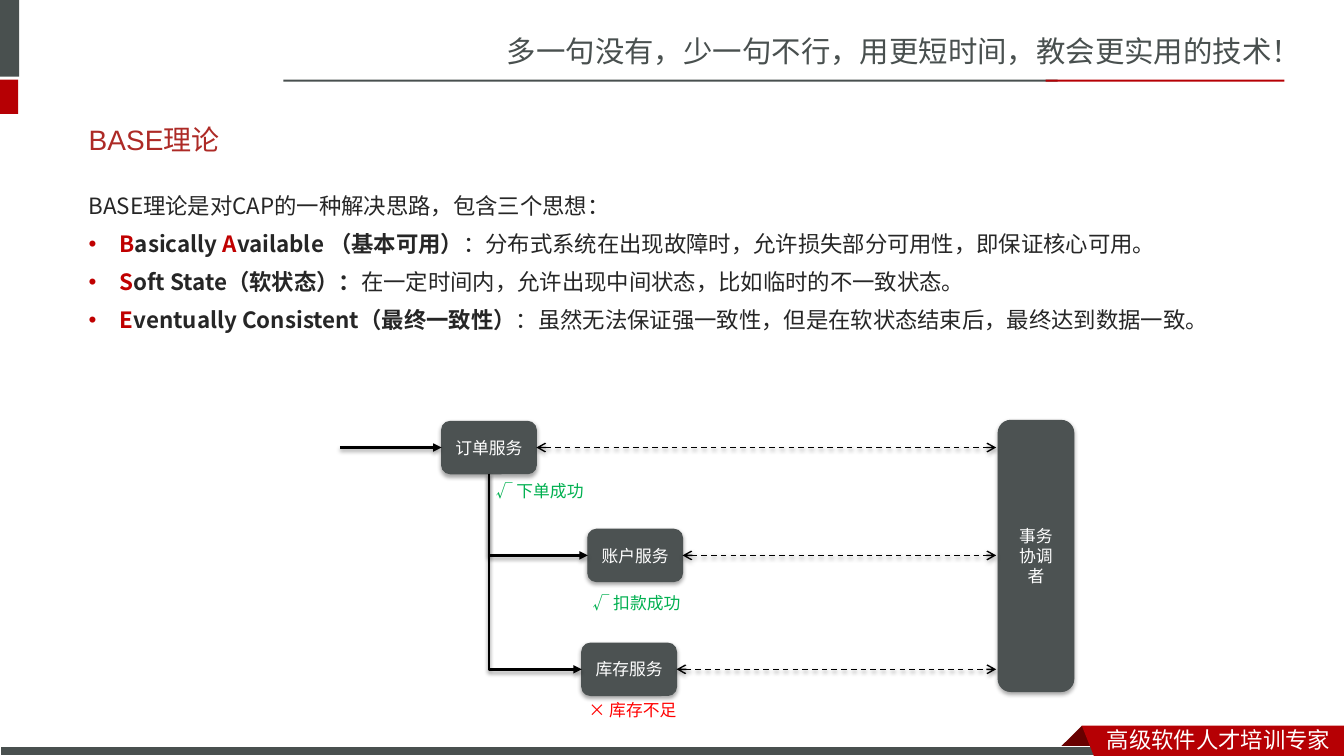
from dataclasses import dataclass

from pptx import Presentation
from pptx.dml.color import RGBColor
from pptx.enum import dml, shapes, text
from pptx.oxml import parse_xml
from pptx.oxml.ns import nsdecls, qn
from pptx import util as u

PX = 9144


@dataclass(frozen=True)
class Theme:
    """Colours, faces and type sizes of the slide."""
    slate: str = "49504F"
    box: str = "4C5252"
    red: str = "B60004"
    dark: str = "680000"
    title: str = "AD2A26"
    ink: str = "262626"
    key: str = "C00000"
    good: str = "00B050"
    bad: str = "FF0000"
    black: str = "000000"
    white: str = "FFFFFF"
    sans: str = "Noto Sans CJK SC"
    body: str = "Noto Sans CJK JP"
    head: str = "Arial"
    motto: int = 21
    large: int = 20
    mid: int = 16
    small: int = 12


T = Theme()
POINTS = (
    (("B", "asically ", "A", "vailable （基本可用）"),
     "：分布式系统在出现故障时，允许损失部分可用性，即保证核心可用。"),
    (("S", "oft State（软状态）："),
     "在一定时间内，允许出现中间状态，比如临时的不一致状态。"),
    (("E", "ventually Consistent（最终一致性）"),
     "：虽然无法保证强一致性，但是在软状态结束后，最终达到数据一致。"),
)


def rgb(tone):
    """Turn a hex tone into a colour."""
    return RGBColor.from_string(tone)


def area(*sides):
    """Turn px lengths into EMU."""
    return [u.Emu(side * PX) for side in sides]


def node(parent, tag, body="", **attrs):
    """Append a drawing element to a parent."""
    pairs = " ".join(f'{key}="{val}"' for key, val in attrs.items())
    parent.append(parse_xml(f"<a:{tag} {nsdecls('a')} {pairs}>{body}</a:{tag}>"))


def style(para, size, tone, face=T.body):
    """Set the type of a whole paragraph."""
    font = para.font
    font.size, font.name = u.Pt(size), face
    font.color.rgb = rgb(tone)
    wide = T.sans if face == T.head else face
    node(para._p.pPr.find(qn("a:defRPr")), "ea", typeface=wide)


def paint(shape, tone, edge=None):
    """Fill a shape and give it an edge or none."""
    shape.shadow.inherit = False
    shape.fill.solid()
    shape.fill.fore_color.rgb = rgb(tone)
    if edge:
        shape.line.color.rgb = rgb(edge)
        shape.line.width = u.Pt(0.75)
    else:
        shape.line.fill.background()


def shade(item, alpha, drop):
    """Give an item a soft shadow straight below it."""
    props = item._element.spPr
    if props.find(qn("a:effectLst")) is None:
        node(props, "effectLst")
    body = f'<a:srgbClr val="{T.black}"><a:alpha val="{alpha * 1000}"/></a:srgbClr>'
    node(props.find(qn("a:effectLst")), "outerShdw", body, blurRad=u.Pt(3.1),
         dist=u.Pt(drop), dir=5400000, algn="ctr", rotWithShape=0)


def bar(slide, place, tone, edge=None):
    """Draw a plain band."""
    kind = shapes.MSO_SHAPE.RECTANGLE
    paint(slide.shapes.add_shape(kind, *area(*place)), tone, edge)


def fold(slide, spots, tone):
    """Draw a closed outline through the spots."""
    pen = slide.shapes.build_freeform(*spots[0], scale=float(PX))
    pen.add_line_segments(spots[1:], close=True)
    paint(pen.convert_to_shape(), tone)


def label(slide, place, words, size, tone, face=T.body):
    """Write one line of text."""
    frame = slide.shapes.add_textbox(*area(*place)).text_frame
    frame.word_wrap = True
    frame.text = words
    style(frame.paragraphs[0], size, tone, face)


def block(slide, place, words):
    """Draw a rounded service box."""
    kind = shapes.MSO_SHAPE.ROUNDED_RECTANGLE
    shape = slide.shapes.add_shape(kind, *area(*place))
    paint(shape, T.box, T.box)
    shade(shape, 35, 1.8)
    frame = shape.text_frame
    frame.word_wrap = True
    frame.text = words
    frame.vertical_anchor = text.MSO_ANCHOR.MIDDLE
    para = frame.paragraphs[0]
    para.alignment = text.PP_ALIGN.CENTER
    style(para, T.small, T.white)
    return shape


def link(slide, start, end, width, dash=False, kind=shapes.MSO_CONNECTOR.STRAIGHT):
    """Draw a one-way arrow, or a dashed two-way one."""
    line = slide.shapes.add_connector(kind, *area(*start, *end))
    line.line.color.rgb = rgb(T.black)
    line.line.width = u.Pt(width)
    if dash:
        line.line.dash_style = dml.MSO_LINE.DASH
    stroke = line.line._ln
    if dash:
        node(stroke, "headEnd", type="arrow")
    node(stroke, "tailEnd", type="arrow" if dash else "triangle")
    shade(line, 38, 1.6)
    return line


def bend(slide, top, side):
    """Lead an arrow down from one box and right into another."""
    line = link(slide, (0, 0), (1, 1), 2, kind=shapes.MSO_CONNECTOR.ELBOW)
    line.begin_connect(top, 2)
    line.end_connect(side, 1)
    wide, high = line.width, line.height
    line.left += (wide - high) // 2
    line.top += (high - wide) // 2
    line.width, line.height = high, wide
    props = line._element.spPr
    props.xfrm.set("rot", "16200000")
    props.xfrm.set("flipH", "1")
    props.find(qn("a:prstGeom")).set("prst", "bentConnector2")


def frame(slide):
    """Draw the bands, the motto and the footer."""
    label(slide, (493, 28, 840, 47), "多一句没有，少一句不行，用更短时间，教会更实用的技术！",
          T.motto, T.slate, T.sans)
    for place, tone in (((0, 0, 19, 76), T.slate), ((0, 79, 18, 34), T.red),
                        ((281, 79, 768, 2), T.slate), ((1037, 79, 237, 2), T.red)):
        bar(slide, place, tone)
    fold(slide, ((1073, 720), (1095, 742), (1094, 743), (1052, 743), (1051, 742)), T.dark)
    bar(slide, (0, 741, 1099, 9), T.slate, T.white)
    fold(slide, ((1073, 720), (1333, 720), (1333, 750), (1085, 750)), T.red)
    label(slide, (1088, 715, 245, 35), "高级软件人才培训专家", T.mid, T.white, T.sans)


def head(slide, words):
    """Place and fill the title."""
    title = slide.shapes.title
    title.left, title.top, title.width, title.height = area(78, 110, 1170, 57)
    title.text_frame.text = words
    title.text_frame.vertical_anchor = text.MSO_ANCHOR.MIDDLE
    para = title.text_frame.paragraphs[0]
    para.alignment = text.PP_ALIGN.LEFT
    style(para, T.large, T.title, T.head)


def ideas(slide):
    """Write the lead line and its three bullets."""
    box = slide.shapes.add_textbox(*area(78, 179, 1170, 196)).text_frame
    box.word_wrap = True
    box.text = "BASE理论是对CAP的一种解决思路，包含三个思想："
    box.paragraphs[0].line_spacing = 1.25
    style(box.paragraphs[0], T.mid, T.ink)
    for parts, rest in POINTS:
        para = box.add_paragraph()
        para.line_spacing, para.space_before = 1.25, u.Pt(3.2)
        props = para._p.get_or_add_pPr()
        props.set("marL", str(31 * PX))
        props.set("indent", str(-31 * PX))
        node(props, "buClr", f'<a:srgbClr val="{T.key}"/>')
        node(props, "buFont", typeface="Arial")
        node(props, "buChar", char="•")
        style(para, T.mid, T.ink)
        for part in parts:
            run = para.add_run()
            run.text, run.font.bold = part, True
            if len(part) == 1:
                run.font.color.rgb = rgb(T.key)
        para.add_run().text = rest


def flow(slide):
    """Draw the services, their results and the coordinator."""
    spots = (("订单服务", 438, 418), ("账户服务", 583, 525), ("库存服务", 577, 638))
    order, *others = boxes = [block(slide, (x, y, 94, 52), name) for name, x, y in spots]
    block(slide, (990, 417, 75, 269), "事务协调者")
    link(slide, (337, 444), (438, 444), 2).end_connect(order, 1)
    for other in others:
        bend(slide, order, other)
    for box, (_, x, y) in zip(boxes, spots):
        link(slide, (x + 94, y + 26), (988, y + 26), 1, True).begin_connect(box, 3)
    for x, y, words, tone in ((482, 472, "√ 下单成功", T.good),
                              (578, 583, "√ 扣款成功", T.good),
                              (574, 689, "× 库存不足", T.bad)):
        label(slide, (x, y, 135, 30), words, T.small, tone)


def main():
    """Build and save the slide."""
    deck = Presentation()
    deck.slide_width, deck.slide_height = area(1333, 750)
    slide = deck.slides.add_slide(deck.slide_layouts[5])
    frame(slide)
    head(slide, "BASE理论")
    ideas(slide)
    flow(slide)
    deck.save("out.pptx")


if __name__ == "__main__":
    main()
